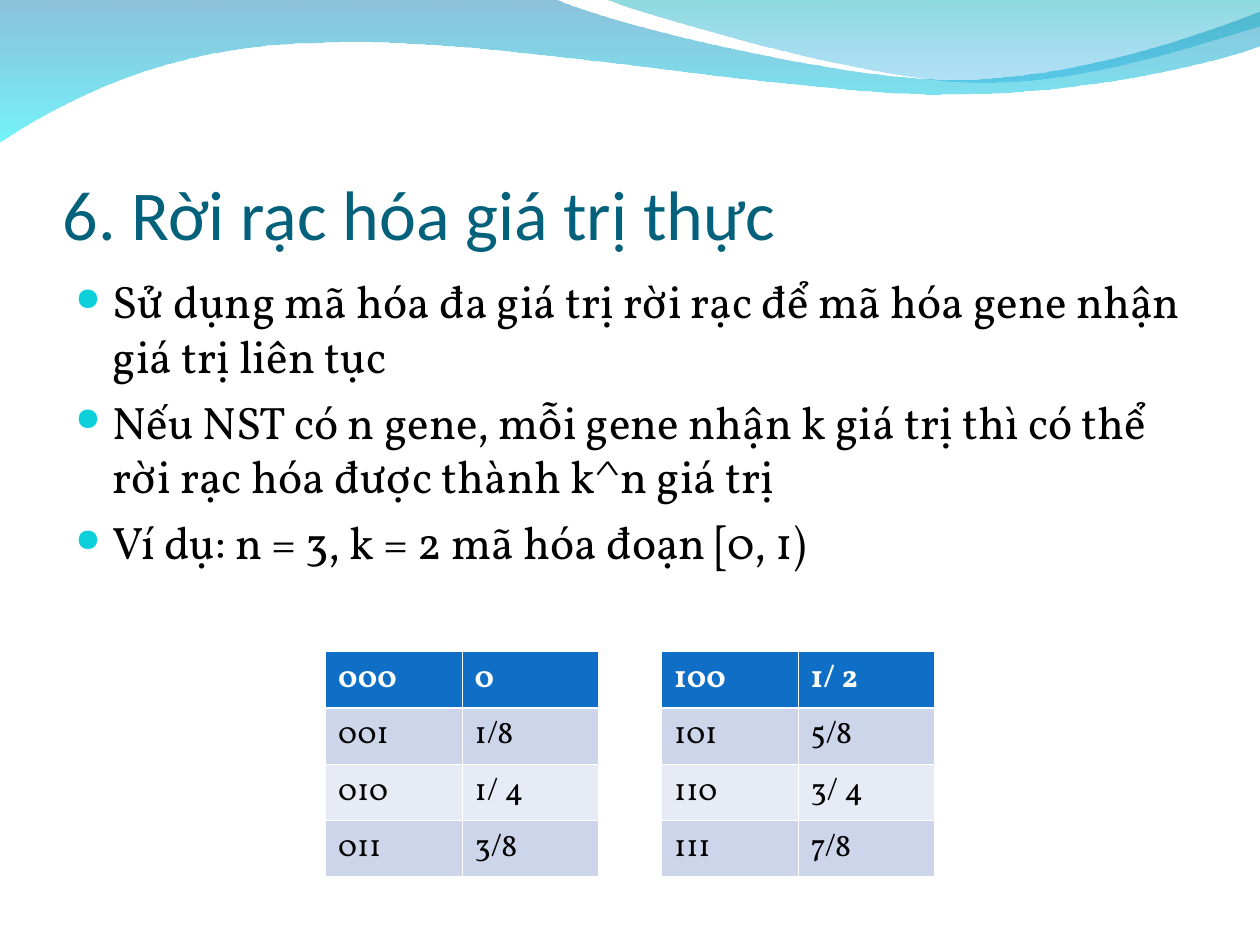
from pptx import Presentation
from pptx.dml.color import RGBColor as Rgb
from pptx.enum.text import MSO_ANCHOR as Anchor
from pptx.oxml import parse_xml as to_xml
from pptx.oxml.ns import nsdecls as decl, qn
from pptx.util import Pt

TITLE = "6. Rời rạc hóa giá trị thực"
POINTS = [
    "Sử dụng mã hóa đa giá trị rời rạc để mã hóa gene nhận giá trị liên tục",
    "Nếu NST có n gene, mỗi gene nhận k giá trị thì có thể rời rạc hóa được thành k^n giá trị",
    "Ví dụ: n = 3, k = 2 mã hóa đoạn [0, 1)",
]
LEFT = [("000", "0"), ("001", "1/8"), ("010", "1/ 4"), ("011", "3/8")]
RIGHT = [("100", "1/ 2"), ("101", "5/8"), ("110", "3/ 4"), ("111", "7/8")]
ROWS = ["0F6FC6", "CCD5EA", "E7EBF5", "CCD5EA"]
BAND = [
    (0, -0.7), (316.8, -0.7),
    (342.7, 12.2, 478, 45.4, 545.8, 45.4),
    (614.2, 45.4, 689.8, 18.7, 720, 6.5), (720.7, 25.9),
    (707.8, 31.7, 626.4, 54.7, 537.1, 54),
    (447.8, 54, 275, 20.2, 185, 24.5),
    (92.9, 25.2, 33.1, 59.8, -0.7, 81.4),
]
CREST = [
    (344.9, -0.7),
    (366.5, 7.9, 491, 44.6, 553.7, 46.8),
    (616.3, 49.7, 691.9, 23, 720, 15.1), (720, -0.7),
]


def hue(code):
    """Turn a hex string into a colour."""
    return Rgb.from_string(code)


def curve(shape, steps):
    """Join each three line ends of a six-value step into one cubic curve."""
    lines = iter(list(shape._element.iter(qn("a:lnTo"))))
    for step in steps[1:]:
        group = [next(lines) for _ in range(len(step) // 2)]
        if len(group) == 3:
            cubic = to_xml(f'<a:cubicBezTo {decl("a")}/>')
            group[0].addprevious(cubic)
            for line in group:
                cubic.append(line[0])
                line.getparent().remove(line)


def wave(slide, steps, stops):
    """Draw a closed outline with a see-through vertical gradient."""
    spots = [(Pt(s[i]), Pt(s[i + 1])) for s in steps for i in range(0, len(s), 2)]
    pen = slide.shapes.build_freeform(*spots[0])
    pen.add_line_segments(spots[1:], close=False)
    shape = pen.convert_to_shape()
    curve(shape, steps)
    for track in shape._element.iter(qn("a:path")):
        track.append(to_xml(f'<a:close {decl("a")}/>'))
    shape.shadow.inherit = False
    shape.line.fill.background()
    shape.fill.gradient()
    shape.fill.gradient_angle = 270
    for stop, (place, code, _) in zip(shape.fill.gradient_stops, stops):
        stop.position = place
        stop.color.rgb = hue(code)
    tints = shape._element.spPr.iter(qn("a:srgbClr"))
    for tint, (_, _, alpha) in zip(tints, stops):
        tint.append(to_xml(f'<a:alpha {decl("a")} val="{alpha * 1000}"/>'))


def style(para, code, **look):
    """Set the colour and font values of a paragraph."""
    for key, value in look.items():
        setattr(para.font, key, value)
    para.font.color.rgb = hue(code)


def box(slide, area, **look):
    """Add a wrapping text box and return its frame."""
    frame = slide.shapes.add_textbox(*map(Pt, area)).text_frame
    for key, value in {"word_wrap": True, **look}.items():
        setattr(frame, key, value)
    return frame


def bullet(para):
    """Give a paragraph a hanging round bullet."""
    props = para._p.get_or_add_pPr()
    props.set("marL", str(Pt(21.4)))
    props.set("indent", str(Pt(-21.4)))
    ns = decl("a")
    for xml in (f'<a:buClr {ns}><a:srgbClr val="0BD0D9"/></a:buClr>',
                f'<a:buSzPct {ns} val="70000"/>',
                f'<a:buChar {ns} char="●"/>'):
        props.append(to_xml(xml))


def edge(cell, side, width):
    """Add one white border to a cell."""
    cell._tc.get_or_add_tcPr().append(to_xml(
        f'<a:ln{side} {decl("a")} w="{Pt(width)}"><a:solidFill>'
        f'<a:srgbClr val="FFFFFF"/></a:solidFill></a:ln{side}>'))


def grid(slide, left, data):
    """Add a table of codes and their values."""
    area = map(Pt, (left, 372.24, 156, 128.6))
    table = slide.shapes.add_table(len(data), len(data[0]), *area).table
    for r, row in enumerate(data):
        for c, text in enumerate(row):
            cell = table.cell(r, c)
            thick = {"T": r == 1, "B": r == 0}
            for side in "LRTB":
                edge(cell, side, 1.5 if thick.get(side) else 0.45)
            cell.fill.solid()
            cell.fill.fore_color.rgb = hue(ROWS[r])
            cell.text = text
            code = "000000" if r else "FFFFFF"
            style(cell.text_frame.paragraphs[0], code, name="Vollkorn", size=Pt(18), bold=r == 0)


def main():
    """Build the slide and save it."""
    deck = Presentation()
    deck.slide_width, deck.slide_height = Pt(720), Pt(540)
    slide = deck.slides.add_slide(deck.slide_layouts[6])
    wave(slide, BAND, [(0, "0079AF", 45), (1, "00EBF8", 55)])
    wave(slide, CREST, [(0, "00ADB6", 45), (1, "009BE5", 30)])
    title = box(slide, (36, 55.44, 648, 90), vertical_anchor=Anchor.BOTTOM,
                margin_left=0, margin_right=0, margin_bottom=0)
    title.text = TITLE
    style(title.paragraphs[0], "04617B", name="Calibri", size=Pt(40))
    body = box(slide, (36, 152.64, 648, 345.6))
    body.text = "\n".join(POINTS)
    for i, para in enumerate(body.paragraphs):
        para.space_before = Pt(6.5 if i else 0)
        bullet(para)
        style(para, "000000", name="Vollkorn", size=Pt(26))
    for left, data in ((186, LEFT), (378, RIGHT)):
        grid(slide, left, data)
    deck.save("out.pptx")


if __name__ == "__main__":
    main()
